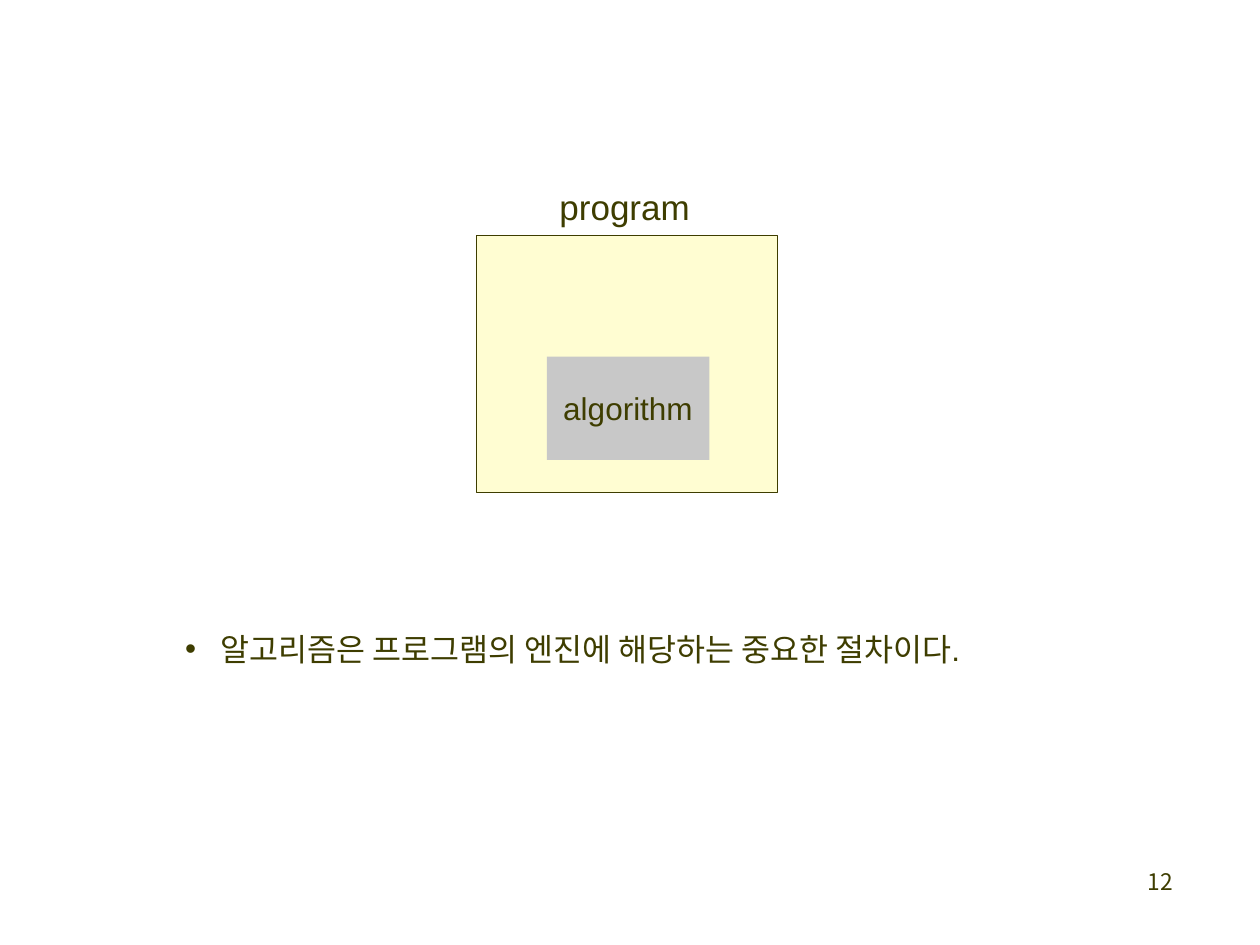
"""Build a slide showing an algorithm as the engine inside a program."""
from lxml import etree
from pptx import Presentation, util as u
from pptx.dml.color import RGBColor
from pptx.enum import shapes, text
from pptx.oxml.ns import qn

THEME = {
    "ink": "3E3D00", "program": "FFFDD2", "algorithm": "C8C8C8",
    "latin": "Arial", "korean": "Noto Sans CJK KR",
    "title": 20, "body": 18, "number": 13, "line": 0.75,
}
TITLE = ("program", (4.43, 1.46, 1.2, 0.36))
BODY = ([("알고리즘은 프로그램의 엔진에 해당하는 중요한 절차이다", "korean"), (".", "latin")],
        (1.45, 4.99, 6.73, 0.33))
NUMBER = ("12", (9.07, 6.9, 0.29, 0.63))
PROGRAM_BOX = (3.78, 1.87, 2.39, 2.04)
ALGORITHM = ("algorithm", (4.34, 2.83, 1.29, 0.82))


def color(name):
    return RGBColor.from_string(THEME[name])


def place(sp, box):
    sp.left, sp.top, sp.width, sp.height = map(u.Inches, box)


def add_box(s, box, fill, line=None):
    sp = s.shapes.add_shape(shapes.MSO_SHAPE.RECTANGLE, *map(u.Inches, box))
    sp.shadow.inherit = False
    sp.fill.solid()
    sp.fill.fore_color.rgb = color(fill)
    if line:
        sp.line.color.rgb = color(line)
        sp.line.width = u.Pt(THEME["line"])
    else:
        sp.line.fill.background()
    return sp


def write(sp, runs, size, indent=0, hanging=0, before=0, top=0,
          anchor=text.MSO_ANCHOR.TOP, wrap=True):
    tf = sp.text_frame
    tf.word_wrap, tf.vertical_anchor = wrap, anchor
    tf.auto_size = text.MSO_AUTO_SIZE.NONE
    tf.margin_left = tf.margin_right = tf.margin_bottom = 0
    tf.margin_top = u.Inches(top)
    p = tf.paragraphs[0]
    p.alignment = text.PP_ALIGN.LEFT
    p.space_before = u.Pt(before)
    p.font.size = u.Pt(THEME[size])
    p.font.color.rgb = color("ink")
    pPr = p._p.get_or_add_pPr()
    pPr.set("marL", str(u.Inches(indent)))
    pPr.set("indent", str(u.Inches(hanging)))
    for words, face in runs:
        r = p.add_run()
        r.text = words
        r.font.size = u.Pt(THEME[size])
        r.font.color.rgb = color("ink")
        r.font.name = THEME[face]
        etree.SubElement(r._r.get_or_add_rPr(), qn("a:ea"), typeface=THEME[face])
    return p


def main():
    prs = Presentation()
    prs.slide_width, prs.slide_height = u.Inches(10), u.Inches(7.5)
    s = prs.slides.add_slide(prs.slide_layouts[1])

    add_box(s, PROGRAM_BOX, "program", "ink")
    words, box = ALGORITHM
    write(add_box(s, box, "algorithm"), [(words, "latin")], "body", indent=0.13,
          anchor=text.MSO_ANCHOR.MIDDLE)

    words, box = NUMBER
    sp = s.shapes.add_textbox(*map(u.Inches, box))
    p = write(sp, [(words, "korean")], "number", indent=0.04)
    p.line_spacing = u.Pt(14.7)

    words, box = TITLE
    place(s.shapes.title, box)
    write(s.shapes.title, [(words, "latin")], "title", indent=0.01, before=1.1,
          top=0.01, wrap=False)

    runs, box = BODY
    body = s.placeholders[1]
    place(body, box)
    p = write(body, runs, "body", indent=0.3, hanging=-0.28, before=1, top=0.01)
    pPr = p._p.get_or_add_pPr()
    bullet = etree.Element(qn("a:buChar"), char="•")
    pPr.find(qn("a:spcBef")).addnext(bullet)

    prs.save("out.pptx")


if __name__ == "__main__":
    main()
